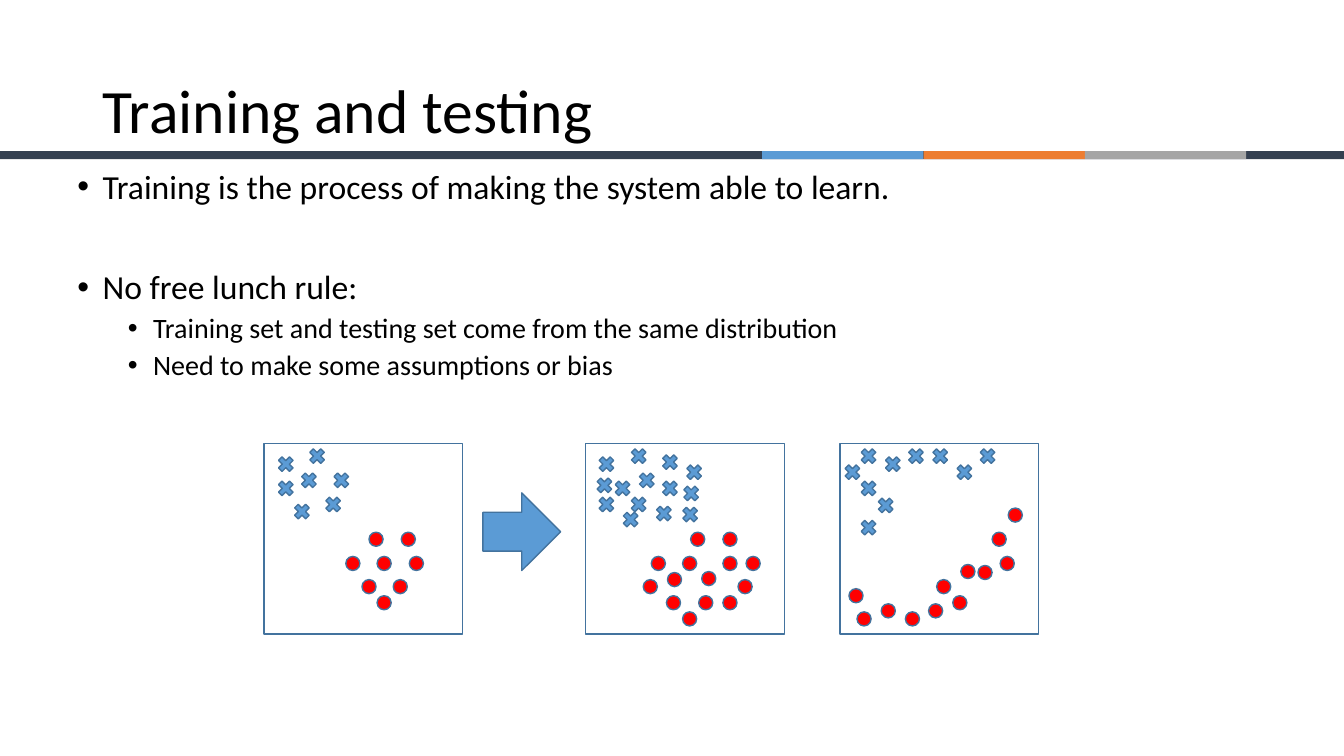
from lxml.etree import SubElement
from pptx import Presentation
from pptx.dml.color import RGBColor
from pptx.enum.shapes import MSO_SHAPE
from pptx.enum.text import MSO_ANCHOR
from pptx.oxml.ns import qn
from pptx.util import Inches, Pt

BLACK = RGBColor(0x00, 0x00, 0x00)
WHITE = RGBColor(0xFF, 0xFF, 0xFF)
NAVY = RGBColor(0x33, 0x3F, 0x50)
BLUE = RGBColor(0x5B, 0x9B, 0xD5)
ORANGE = RGBColor(0xED, 0x7D, 0x31)
GRAY = RGBColor(0xA5, 0xA5, 0xA5)
RED = RGBColor(0xFF, 0x00, 0x00)
OUTLINE = RGBColor(0x43, 0x73, 0x9E)

FONT = "Calibri"
TITLE = "Training and testing"
# text, level, space before in points
BULLETS = [
    ("Training is the process of making the system able to learn.", 0, 0),
    ("No free lunch rule:", 0, 46),
    ("Training set and testing set come from the same distribution", 1, 5),
    ("Need to make some assumptions or bias", 1, 5),
]
LEVEL_SIZES = (24, 20)
LEVEL_INDENTS = (0.25, 0.75)

# Marker positions are measured from the top left corner of their panel
PANELS = [
    {
        "left": 2.62,
        "crosses": [(0.11, 0.1), (0.34, 0.26), (0.42, 0.02), (0.11, 0.34),
                    (0.66, 0.26), (0.58, 0.5), (0.27, 0.57)],
        "dots": [(1.04, 0.88), (0.81, 1.12), (1.36, 0.88), (1.12, 1.12),
                 (0.97, 1.35), (1.44, 1.12), (1.28, 1.35), (1.12, 1.51)],
    },
    {
        "left": 5.81,
        "crosses": [(0.1, 0.1), (0.08, 0.31), (0.42, 0.02), (0.26, 0.34),
                    (0.5, 0.26), (0.73, 0.08), (0.42, 0.5), (0.73, 0.34),
                    (0.94, 0.39), (0.97, 0.18), (0.1, 0.5), (0.34, 0.65),
                    (0.67, 0.59), (0.93, 0.6)],
        "dots": [(1.04, 0.88), (0.65, 1.12), (1.36, 0.88), (1.36, 1.12),
                 (0.96, 1.12), (1.59, 1.12), (1.51, 1.35), (1.12, 1.51),
                 (0.81, 1.28), (0.8, 1.51), (1.15, 1.27), (1.36, 1.51),
                 (0.96, 1.67), (0.57, 1.35)],
    },
    {
        "left": 8.33,
        "crosses": [(0.18, 0.02), (0.89, 0.02), (0.42, 0.1), (0.02, 0.18),
                    (0.65, 0.02), (1.13, 0.18), (1.36, 0.02), (0.18, 0.34),
                    (0.35, 0.51), (0.18, 0.73)],
        "dots": [(0.09, 1.44), (0.17, 1.67), (1.51, 0.88), (1.2, 1.2),
                 (0.96, 1.35), (1.59, 1.12), (0.88, 1.59), (1.12, 1.51),
                 (1.67, 0.64), (1.37, 1.21), (0.65, 1.67), (0.41, 1.59)],
    },
]
PANEL_TOP, PANEL_WIDTH, PANEL_HEIGHT = 4.4, 1.97, 1.89
CROSS_SIZE, DOT_SIZE, ARROW_SIZE = 0.21, 0.14, 0.77
SLIDE_WIDTH, SLIDE_HEIGHT = 13.33, 7.5
BAR_TOP, BAR_HEIGHT = 1.5, 0.08
ACCENT_LEFT, ACCENT_WIDTH = 7.56, 1.6


def add_figure(slide, preset, left, top, width, height, fill, line=None):
    figure = slide.shapes.add_shape(
        preset, Inches(left), Inches(top), Inches(width), Inches(height))
    figure.shadow.inherit = False
    figure.fill.solid()
    figure.fill.fore_color.rgb = fill
    if line is None:
        figure.line.fill.background()
    else:
        figure.line.color.rgb = line
        figure.line.width = Pt(1)


def add_text_frame(slide, left, top, width, height):
    box = slide.shapes.add_textbox(
        Inches(left), Inches(top), Inches(width), Inches(height))
    box.text_frame.word_wrap = True
    return box.text_frame


def add_text(paragraph, text, size):
    paragraph.line_spacing = 0.9
    run = paragraph.add_run()
    run.text = text
    run.font.name = FONT
    run.font.size = Pt(size)
    run.font.color.rgb = BLACK


def add_bullet(paragraph, indent):
    properties = paragraph._p.get_or_add_pPr()
    properties.set("marL", str(Inches(indent)))
    properties.set("indent", str(Inches(-0.25)))
    SubElement(properties, qn("a:buFont"), typeface="Arial")
    SubElement(properties, qn("a:buChar"), char="•")


def main():
    presentation = Presentation()
    presentation.slide_width = Inches(SLIDE_WIDTH)
    presentation.slide_height = Inches(SLIDE_HEIGHT)
    slide = presentation.slides.add_slide(presentation.slide_layouts[6])

    add_figure(slide, MSO_SHAPE.RECTANGLE, 0, BAR_TOP, SLIDE_WIDTH, BAR_HEIGHT, NAVY)
    for position, color in enumerate((BLUE, ORANGE, GRAY)):
        add_figure(slide, MSO_SHAPE.RECTANGLE, ACCENT_LEFT + position * ACCENT_WIDTH,
                   BAR_TOP, ACCENT_WIDTH, BAR_HEIGHT, color)

    title = add_text_frame(slide, 0.92, 0.4, 11.5, 1.45)
    title.vertical_anchor = MSO_ANCHOR.MIDDLE
    add_text(title.paragraphs[0], TITLE, 44)

    body = add_text_frame(slide, 0.67, 1.64, 12, 5.06)
    for position, (text, level, space_before) in enumerate(BULLETS):
        paragraph = body.add_paragraph() if position else body.paragraphs[0]
        paragraph.level = level
        add_bullet(paragraph, LEVEL_INDENTS[level])
        if space_before:
            paragraph.space_before = Pt(space_before)
        add_text(paragraph, text, LEVEL_SIZES[level])

    for panel in PANELS:
        add_figure(slide, MSO_SHAPE.FLOWCHART_PROCESS, panel["left"], PANEL_TOP,
                   PANEL_WIDTH, PANEL_HEIGHT, WHITE, OUTLINE)
        for kind, preset, size, color in (
                ("crosses", MSO_SHAPE.MATH_MULTIPLY, CROSS_SIZE, BLUE),
                ("dots", MSO_SHAPE.FLOWCHART_CONNECTOR, DOT_SIZE, RED)):
            for x, y in panel[kind]:
                add_figure(slide, preset, panel["left"] + x, PANEL_TOP + y,
                           size, size, color, OUTLINE)

    add_figure(slide, MSO_SHAPE.RIGHT_ARROW, 4.79, 4.89,
               ARROW_SIZE, ARROW_SIZE, BLUE, OUTLINE)
    presentation.save("out.pptx")


if __name__ == "__main__":
    main()
